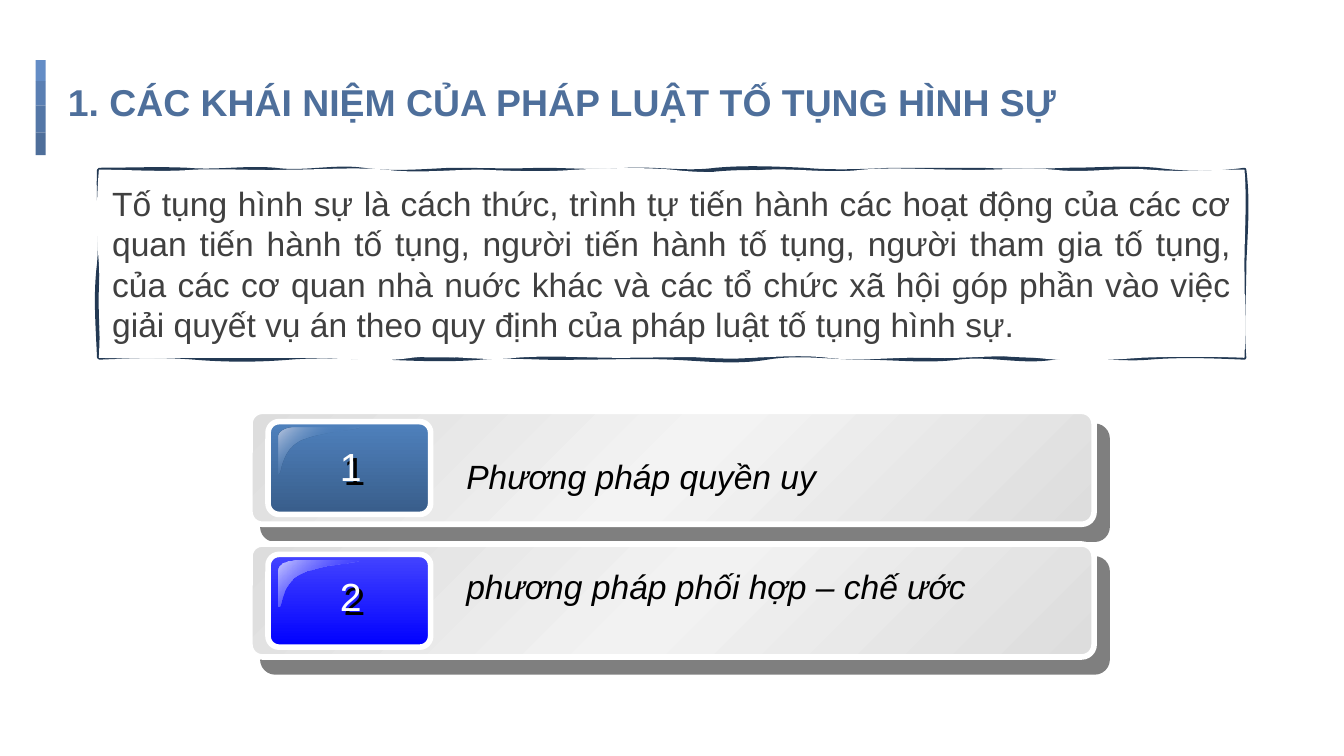
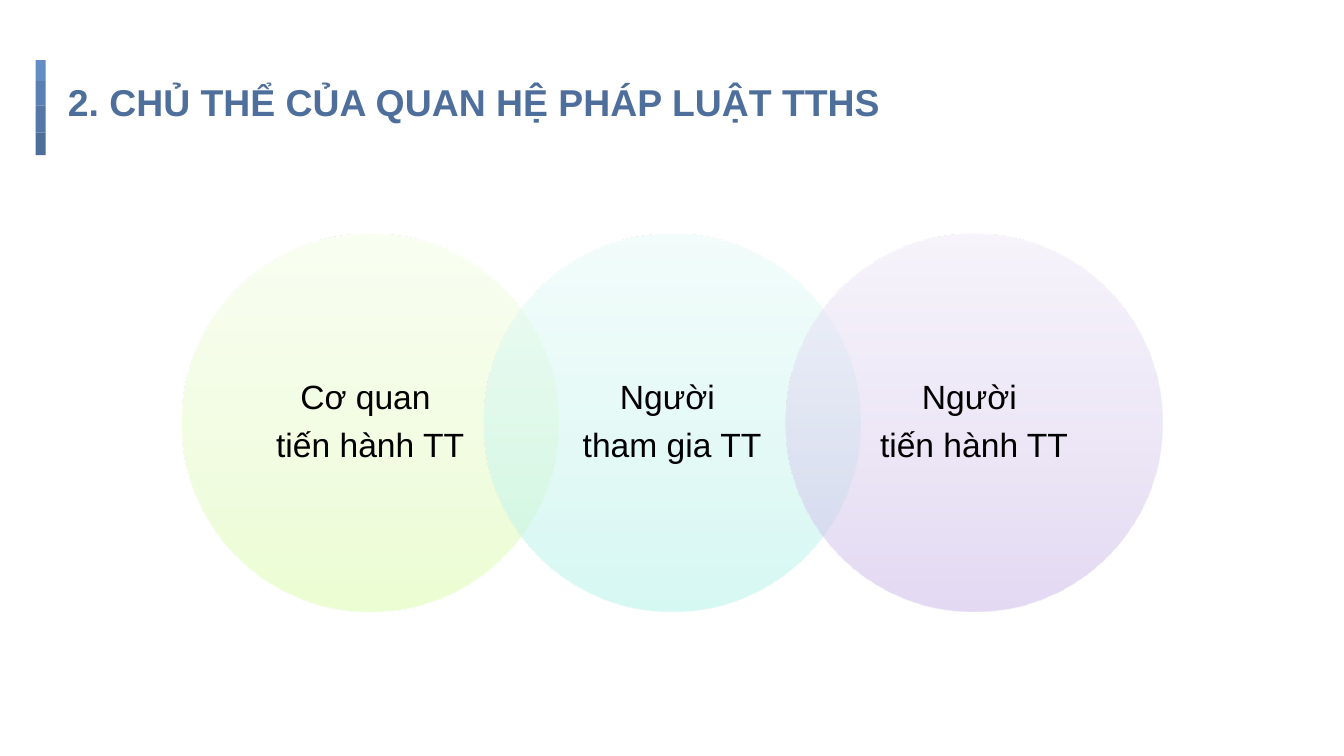
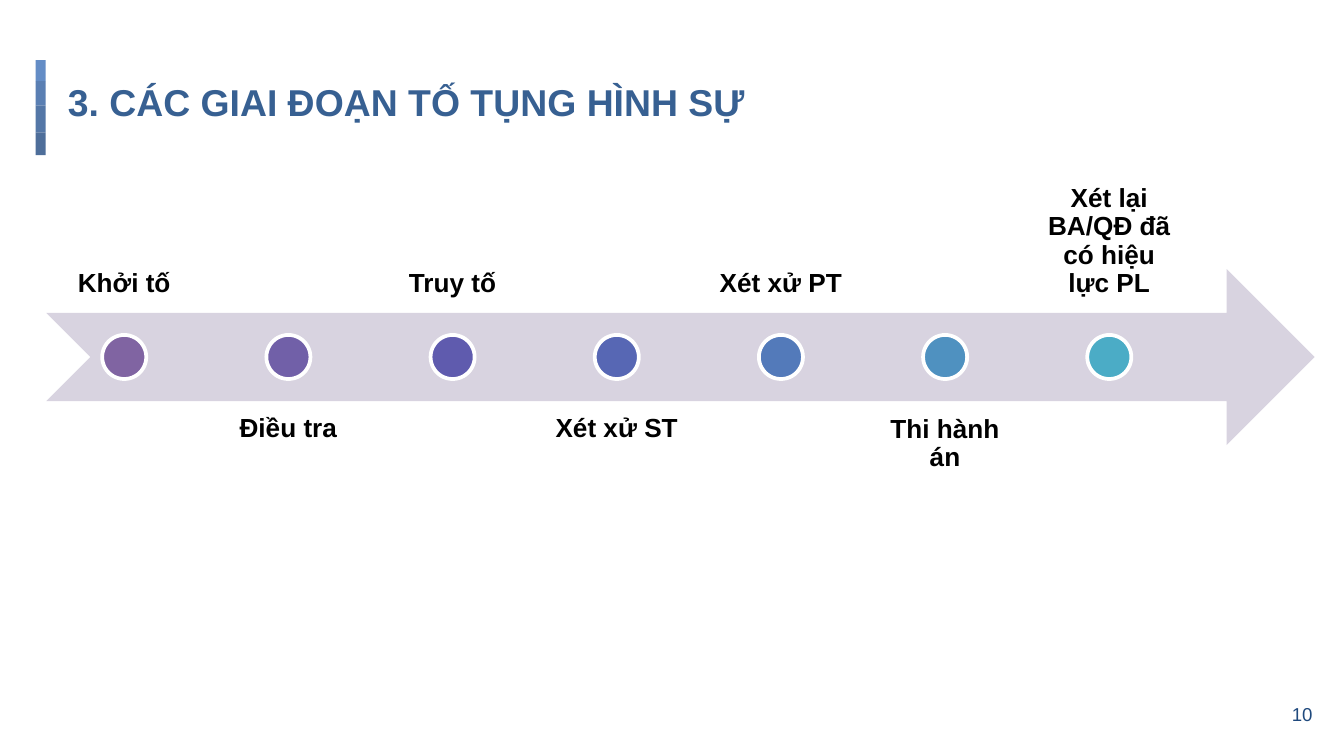
from dataclasses import dataclass

from lxml.etree import SubElement
from pptx import Presentation
from pptx.dml.color import RGBColor
from pptx.enum.shapes import MSO_SHAPE as SHAPE
from pptx.enum.text import MSO_ANCHOR as ANCHOR, MSO_AUTO_SIZE as FIT, PP_ALIGN as ALIGN
from pptx.oxml.ns import qn
from pptx.util import Pt


@dataclass(frozen=True)
class Theme:
    font: str = "Arial"
    white: str = "FFFFFF"
    black: str = "000000"
    body: str = "404040"
    frame: str = "233953"
    heading: str = "4E6F9B"
    heading_dark: str = "376092"
    page: str = "1F497D"
    arrow: str = "D8D3E0"
    title_size: float = 20
    number_size: float = 21
    body_size: float = 18
    stage_size: float = 14
    page_size: float = 10


THEME = Theme()

TITLES = [
    ("1. CÁC KHÁI NIỆM CỦA PHÁP LUẬT TỐ TỤNG HÌNH SỰ", THEME.heading),
    ("2. CHỦ THỂ CỦA QUAN HỆ PHÁP LUẬT TTHS", THEME.heading),
    ("3. CÁC GIAI ĐOẠN TỐ TỤNG HÌNH SỰ", THEME.heading_dark),
]
TITLE_BOX = (29.1, 35.1, 666, 45.4)
TITLE_BAR = [("648DC6", 11.3), ("5A7FB3", 13), ("5477A7", 14.5), ("4E6E9A", 12.2)]
BAR_LEFT, BAR_TOP, BAR_WIDTH = 19.1, 32.2, 5.4

DEFINITION = (
    "Tố tụng hình sự là cách thức, trình tự tiến hành các hoạt động của các cơ quan "
    "tiến hành tố tụng, người tiến hành tố tụng, người tham gia tố tụng, của các cơ quan "
    "nhà nuớc khác và các tổ chức xã hội góp phần vào việc giải quyết vụ án theo quy định "
    "của pháp luật tố tụng hình sự."
)
DEFINITION_BOX = (53, 90.9, 613.7, 100.8)
INK_SWAYS = [
    [(0, -1), (2, -2), (3, -3), (3, 1), (0, 1), (0, 2), (-1, 3), (-2, -1), (2, 1),
     (0, 0), (1, 1), (0, -2), (3, 3)],
    [(3, 1), (0, -2)],
    [(-1, -2), (2, -3), (4, -3), (3, 0), (0, -4), (4, 1), (-1, 0), (1, -2), (2, 1),
     (0, -2), (2, 2), (-2, -1)],
    [(-1, -3), (2, -1)],
]
PAPER_SWAYS = [
    [(0, 2), (-1, 1), (0, -2), (3, 0), (1, 2), (-1, -2), (3, 2), (-1, 3), (-2, 0),
     (1, -2), (3, -2), (2, 0)],
    [(2, 0), (0, 1)],
    [(-1, -1), (2, 3), (-3, 1), (-1, 3), (-3, 1), (-1, 0), (0, -2), (3, -3), (4, 0),
     (0, 0), (0, 1)],
    [(1, 1), (-2, -2)],
]
SWAY_UNIT = 0.72

METHODS = [
    {
        "label": "Phương pháp quyền uy",
        "label_format": {"align": ALIGN.JUSTIFY, "spacing": 1.5, "after": 12.8},
        "label_drop": 9.4,
        "label_height": 36,
        "number_drop": 13,
        "card": [(0, "DDDDDD"), (50, "F3F3F3"), (100, "DDDDDD")],
        "tile": [(0, "4F81BD"), (100, "385D8A")],
        "gloss": [(0, "BBC7DE"), (50, "4F81BD", 0), (100, "BBC7DE")],
    },
    {
        "label": "phương pháp phối hợp – chế ước",
        "label_format": {},
        "label_drop": 8.2,
        "label_height": 28.8,
        "number_drop": 11.6,
        "card": [(0, "DDDDDD"), (50, "F2F2F2"), (100, "DDDDDD")],
        "tile": [(0, "4444FF"), (100, "0000FF")],
        "gloss": [(0, "C9C9FF"), (100, "0000FF", 0)],
    },
]
CARD_LEFT, CARD_TOP, CARD_STEP = 133.9, 220.4, 71.1
GLOSS_WIDTH, GLOSS_HEIGHT = 43.2, 24.5
GLOSS_PATH = [
    [(8.6, 0)],
    [(3.6, 0), (0, 2.2), (0, 5)],
    [(0, 24.5)],
    [(2.2, 25.2), (0.7, 13), (11.5, 7.2)],
    [(22.3, 2.2), (43.2, 1.4), (43.2, 0)],
    [(8.6, 0)],
]

SUBJECTS = [
    (["Cơ quan ", "tiến hành TT"], ("DAFDA7", "E4FCC2", "F5FFE7")),
    (["Người ", "tham gia TT"], ("AEF3E9", "C6F5EE", "E8FCF9")),
    (["Người ", "tiến hành TT"], ("C9B5E8", "D8CBEE", "F0EAF9")),
]
CIRCLE_LEFT, CIRCLE_TOP, CIRCLE_SIZE, CIRCLE_INSET = 97.2, 125.3, 202.2, 29.5

STAGES = [
    ("Khởi tố", "8064A2"),
    ("Điều tra", "7160A8"),
    ("Truy tố", "5F5BAE"),
    ("Xét xử ST", "5767B4"),
    ("Xét xử PT", "537ABA"),
    ("Thi hành án", "4F91C0"),
    ("Xét lại BA/QĐ đã có hiệu lực PL", "4BACC6"),
]
ARROW_BOX = (24.8, 144.1, 679.5, 94.3)
STAGE_WIDTH, STAGE_STEP, STAGE_HEIGHT, DOT_SIZE = 83.5, 87.95, 94.3, 23.6
ABOVE_TOP, BELOW_TOP = 73.2, 214.9
PAGE_NUMBER, PAGE_BOX = "10", (667, 367.2, 43.2, 31)


def points(*lengths):
    return [Pt(length) for length in lengths]


def add_alpha_color(parent, color, alpha):
    srgb = SubElement(parent, qn("a:srgbClr"), val=color)
    if alpha < 100:
        SubElement(srgb, qn("a:alpha"), val=str(alpha * 1000))


def add_shadow(shape, distance, angle, alpha):
    shape.shadow.inherit = False
    effects = shape.element.spPr.find(qn("a:effectLst"))
    shadow = SubElement(effects, qn("a:outerShdw"), blurRad="0", dist=str(Pt(distance)),
                        dir=str(angle * 60000), algn="ctr", rotWithShape="0")
    add_alpha_color(shadow, THEME.black, alpha)


def paint(shape, fill, angle=0, line=None, line_width=0):
    shape.shadow.inherit = False
    if isinstance(fill, str):
        shape.fill.solid()
        shape.fill.fore_color.rgb = RGBColor.from_string(fill)
    else:
        shape.fill.gradient()
        gradient = shape.element.spPr.find(qn("a:gradFill"))
        for child in list(gradient):
            gradient.remove(child)
        stops = SubElement(gradient, qn("a:gsLst"))
        for position, color, *alpha in fill:
            stop = SubElement(stops, qn("a:gs"), pos=str(position * 1000))
            add_alpha_color(stop, color, alpha[0] if alpha else 100)
        SubElement(gradient, qn("a:lin"), ang=str(angle * 60000), scaled="0")
    if line:
        shape.line.color.rgb = RGBColor.from_string(line)
        shape.line.width = Pt(line_width)
    else:
        shape.line.fill.background()
    return shape


def add_preset(slide, preset, box, fill, corner=None, **look):
    shape = slide.shapes.add_shape(preset, *points(*box))
    if corner is not None:
        shape.adjustments[0] = corner
    return paint(shape, fill, **look)


def add_curved(slide, box, layers, fill, **look):
    left, top, width, height = points(*box)
    builder = slide.shapes.build_freeform(left, top)
    builder.add_line_segments([(left + width, top), (left + width, top + height),
                               (left, top + height)], close=True)
    shape = builder.convert_to_shape()
    paths = shape.element.spPr.find(".//" + qn("a:pathLst"))
    paths.remove(paths[0])
    for segments, flags in layers:
        outline = SubElement(paths, qn("a:path"), w=str(width), h=str(height), **flags)
        for index, segment in enumerate(segments):
            kind = "cubicBezTo" if len(segment) == 3 else "lnTo" if index else "moveTo"
            step = SubElement(outline, qn("a:" + kind))
            for x, y in segment:
                SubElement(step, qn("a:pt"), x=str(Pt(x)), y=str(Pt(y)))
        SubElement(outline, qn("a:close"))
    return paint(shape, fill, **look)


def write(holder, paragraphs, size=THEME.body_size, color=THEME.black, bold=False,
          italic=False, align=ALIGN.LEFT, anchor=ANCHOR.TOP, spacing=None, after=0,
          inset=(7.2, 3.6), wrap=True, grow=False):
    frame = holder.text_frame
    frame.word_wrap = wrap
    frame.vertical_anchor = anchor
    if grow:
        frame.auto_size = FIT.SHAPE_TO_FIT_TEXT
    frame.margin_left = frame.margin_right = Pt(inset[0])
    frame.margin_top = frame.margin_bottom = Pt(inset[1])
    for index, content in enumerate(paragraphs):
        paragraph = frame.add_paragraph() if index else frame.paragraphs[0]
        paragraph.alignment = align
        paragraph.space_after = Pt(after)
        if spacing:
            paragraph.line_spacing = spacing
        run = paragraph.add_run()
        run.text = content
        run.font.name, run.font.size = THEME.font, Pt(size)
        run.font.bold, run.font.italic = bold, italic
        run.font.color.rgb = RGBColor.from_string(color)


def add_text(slide, box, paragraphs, **text_format):
    holder = slide.shapes.add_textbox(*points(*box))
    write(holder, paragraphs, **text_format)
    return holder


def add_title_bar(layout, slide):
    top = BAR_TOP
    for index, (color, height) in enumerate(TITLE_BAR):
        segment = add_preset(slide, SHAPE.RECTANGLE, (BAR_LEFT, top, BAR_WIDTH, height), color)
        segment.element.nvSpPr.cNvPr.id = 20 + index
        layout.shapes.element.append(segment.element)
        top += height


def add_titled_slide(deck, layout, title, color):
    slide = deck.slides.add_slide(layout)
    heading = slide.shapes.title
    heading.left, heading.top, heading.width, heading.height = points(*TITLE_BOX)
    write(heading, [title], size=THEME.title_size, color=color, bold=True, inset=(7.2, 7.2))
    return slide


def wavy_border(width, height, sways):
    corners = [(0, 0), (width, 0), (width, height), (0, height), (0, 0)]
    segments = [[corners[0]]]
    for (x0, y0), (x1, y1), side in zip(corners, corners[1:], sways):
        level = y0 == y1
        for index, (first, second) in enumerate(side):
            curve = []
            for part, sway in ((1 / 3, first), (2 / 3, second), (1, 0)):
                along = (index + part) / len(side)
                shift = sway * SWAY_UNIT
                curve.append((x0 + (x1 - x0) * along + (0 if level else shift),
                              y0 + (y1 - y0) * along + (shift if level else 0)))
            segments.append(curve)
    return segments


def draw_concepts(slide):
    size = DEFINITION_BOX[2:]
    layers = [(wavy_border(*size, INK_SWAYS), {"fill": "none"}),
              (wavy_border(*size, PAPER_SWAYS), {"stroke": "0"})]
    definition = add_curved(slide, DEFINITION_BOX, layers, THEME.white,
                            line=THEME.frame, line_width=2)
    write(definition, [DEFINITION], color=THEME.body, align=ALIGN.JUSTIFY,
          anchor=ANCHOR.MIDDLE)
    border = {"line": THEME.white, "line_width": 3}
    for index, method in enumerate(METHODS):
        top = CARD_TOP + index * CARD_STEP
        card = add_preset(slide, SHAPE.ROUNDED_RECTANGLE, (CARD_LEFT, top, 452.2, 60.5),
                          method["card"], corner=0.109, angle=45, **border)
        add_shadow(card, 10.6, 49, 50)
        add_preset(slide, SHAPE.ROUNDED_RECTANGLE, (CARD_LEFT + 9.7, top + 5.5, 87.1, 49.7),
                   method["tile"], corner=0.119, angle=90, **border)
        add_curved(slide, (CARD_LEFT + 15.3, top + 8.7, GLOSS_WIDTH, GLOSS_HEIGHT),
                   [(GLOSS_PATH, {})], method["gloss"], angle=45)
        number = add_text(slide, (CARD_LEFT + 41.1, top + method["number_drop"], 23, 23),
                          [str(index + 1)], size=THEME.number_size, color=THEME.white,
                          align=ALIGN.CENTER, wrap=False, grow=True)
        add_shadow(number, 2.8, 45, 100)
        add_text(slide, (CARD_LEFT + 108.8, top + method["label_drop"], 332.6,
                         method["label_height"]),
                 [method["label"]], italic=True, grow=True, **method["label_format"])


def draw_subjects(slide):
    text_size = CIRCLE_SIZE - 2 * CIRCLE_INSET
    for index, (lines, colors) in enumerate(SUBJECTS):
        left = CIRCLE_LEFT + index * CIRCLE_SIZE * 0.8
        stops = [(position, color, 50) for position, color in zip((0, 35, 100), colors)]
        add_preset(slide, SHAPE.OVAL, (left, CIRCLE_TOP, CIRCLE_SIZE, CIRCLE_SIZE),
                   stops, angle=270)
        add_text(slide, (left + CIRCLE_INSET, CIRCLE_TOP + CIRCLE_INSET, text_size, text_size),
                 lines, align=ALIGN.CENTER, anchor=ANCHOR.MIDDLE, spacing=0.9, after=6.3,
                 inset=(10.8, 2.2))


def draw_stages(slide):
    arrow_left, arrow_top, _, arrow_height = ARROW_BOX
    add_preset(slide, SHAPE.NOTCHED_RIGHT_ARROW, ARROW_BOX, THEME.arrow)
    dot_top = arrow_top + (arrow_height - DOT_SIZE) / 2
    for index, (stage, color) in enumerate(STAGES):
        left = arrow_left + index * STAGE_STEP
        top, anchor = (BELOW_TOP, ANCHOR.TOP) if index % 2 else (ABOVE_TOP, ANCHOR.BOTTOM)
        add_text(slide, (left, top, STAGE_WIDTH, STAGE_HEIGHT), [stage],
                 size=THEME.stage_size, bold=True, align=ALIGN.CENTER, anchor=anchor,
                 spacing=0.9, after=4.9, inset=(7.8, 7.8))
        dot_left = left + (STAGE_WIDTH - DOT_SIZE) / 2
        add_preset(slide, SHAPE.OVAL, (dot_left, dot_top, DOT_SIZE, DOT_SIZE), color,
                   line=THEME.white, line_width=2)


def add_page_number(slide):
    add_text(slide, PAGE_BOX, [PAGE_NUMBER], size=THEME.page_size, color=THEME.page,
             align=ALIGN.RIGHT, anchor=ANCHOR.MIDDLE, inset=(7.2, 7.2))


def main():
    deck = Presentation()
    deck.slide_width, deck.slide_height = points(720, 405)
    layout = deck.slide_layouts[5]
    concepts, subjects, stages = [add_titled_slide(deck, layout, *title) for title in TITLES]
    add_title_bar(layout, concepts)
    draw_concepts(concepts)
    draw_subjects(subjects)
    add_page_number(stages)
    draw_stages(stages)
    deck.save("out.pptx")


if __name__ == "__main__":
    main()
